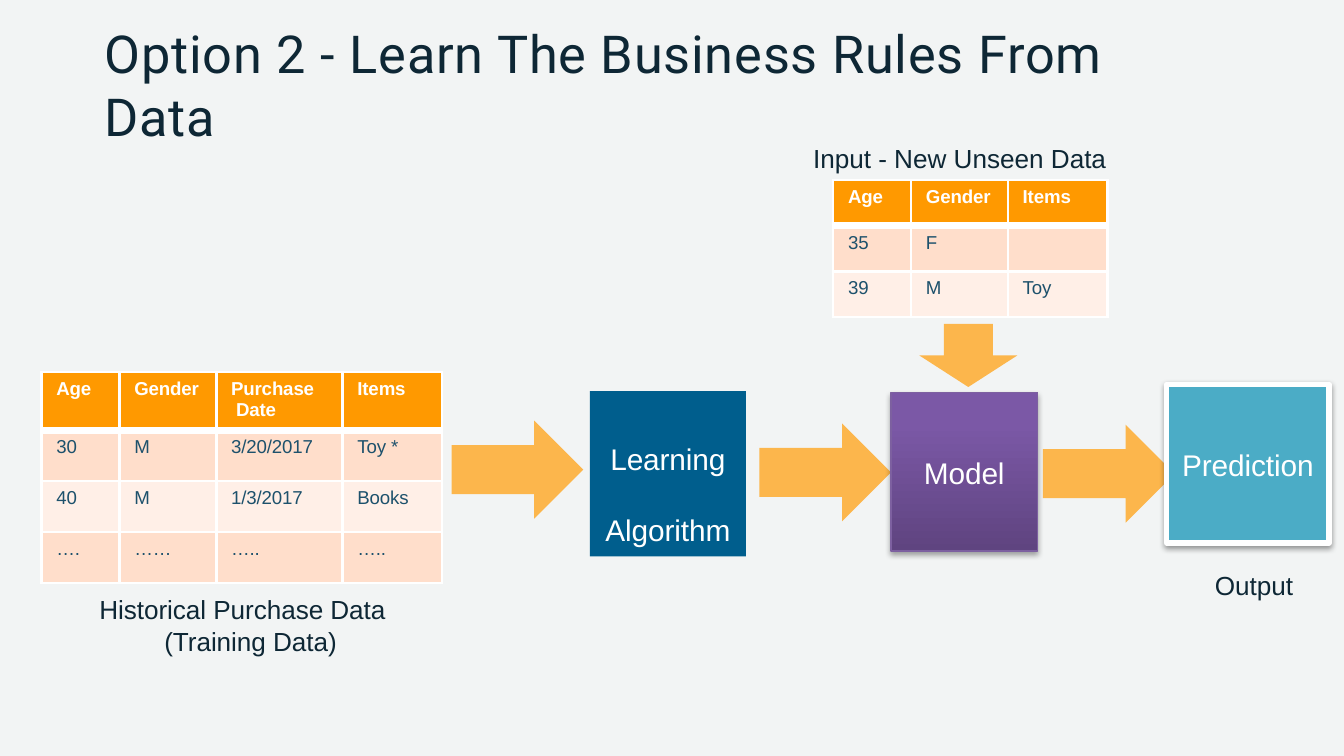
from lxml.etree import SubElement
from pptx import Presentation
from pptx.dml.color import RGBColor
from pptx.enum.shapes import MSO_SHAPE as Kind
from pptx.enum.text import MSO_ANCHOR as Anchor, PP_ALIGN as Align
from pptx.oxml import parse_xml
from pptx.oxml.ns import nsdecls, qn
from pptx.util import Inches, Pt

PAPER = RGBColor(0xF2, 0xF4, 0xF4)
INK = RGBColor(0x0E, 0x27, 0x35)
WHITE = RGBColor(0xFF, 0xFF, 0xFF)
SLATE = RGBColor(0x1D, 0x51, 0x6C)
ORANGE = RGBColor(0xFF, 0x99, 0x00)
PEACH = RGBColor(0xFF, 0xDE, 0xCB)
CREAM = RGBColor(0xFF, 0xEF, 0xE7)
AMBER = RGBColor(0xFC, 0xB6, 0x4C)
BLUE = RGBColor(0x00, 0x5E, 0x8D)
PURPLE = RGBColor(0x7B, 0x58, 0xA6)
PLUM = RGBColor(0x5F, 0x44, 0x80)
VIOLET = RGBColor(0x7D, 0x60, 0xA0)
TEAL = RGBColor(0x4B, 0xAC, 0xC6)


def write(frame, text, size, color, space=-5, font="Arial"):
    frame.text = text
    frame.word_wrap = True
    frame.margin_left = frame.margin_right = frame.margin_bottom = 0
    frame.margin_top = Inches(0.01)
    para = frame.paragraphs[0]
    para.font.size = Pt(size)
    para.font.name = font
    para.font.color.rgb = color
    for run in para.runs:
        run._r.get_or_add_rPr().set("spc", str(space))
    return para


def edge(cell, sides):
    props = cell._tc.get_or_add_tcPr()
    for spot, (side, width) in enumerate(sides):
        line = parse_xml(f'<a:{side} {nsdecls("a")} w="{Pt(width)}"/>')
        fill = SubElement(line, qn("a:solidFill"))
        SubElement(fill, qn("a:srgbClr"), val=str(WHITE))
        props.insert(spot, line)


deck = Presentation()
deck.slide_width = Inches(10)
deck.slide_height = Inches(10) * 9 // 16
slide = deck.slides.add_slide(deck.slide_layouts[6])
slide.background.fill.solid()
slide.background.fill.fore_color.rgb = PAPER
shapes = slide.shapes

labels = [
    (0.77, 0.15, 8.2, 0.49, "Option 2 - Learn The Business Rules From Data", 28, "Roboto", 44),
    (6.04, 1.05, 2.21, 0.26, "Input - New Unseen Data", 14, "Arial", -4),
    (9.03, 4.23, 0.61, 0.26, "Output", 14, "Arial", -5),
]
for x, y, w, h, text, size, font, space in labels:
    box = shapes.add_textbox(Inches(x), Inches(y), Inches(w), Inches(h))
    para = write(box.text_frame, text, size, INK, space, font)
    para.space_before = Pt(1)
    box.text_frame.margin_left = Inches(0.01)

box = shapes.add_textbox(Inches(0.73), Inches(4.4), Inches(2.16), Inches(0.49))
para = write(box.text_frame, "Historical Purchase Data\v (Training Data)", 14, INK)
box.text_frame.margin_top = Inches(0.02)
para.line_spacing = Pt(16.7)
para.space_before = Pt(1.6)
props = para._p.get_or_add_pPr()
props.set("marL", str(Inches(0.44)))
props.set("indent", str(Inches(-0.43)))

tables = [
    (0.31, 2.77, [0.58, 0.72, 0.94, 0.74], [0.43, 0.38, 0.38, 0.38], [
        ["Age", "Gender", "Purchase\v Date", "Items"],
        ["30", "M", "3/20/2017", "Toy *"],
        ["40", "M", "1/3/2017", "Books"],
        ["….", "……", "…..", "….."],
    ]),
    (6.2, 1.34, [0.58, 0.72, 0.74], [0.34, 0.34, 0.34], [
        ["Age", "Gender", "Items"],
        ["35", "F", ""],
        ["39", "M", "Toy"],
    ]),
]
for x, y, cols, rows, data in tables:
    grid = shapes.add_table(len(rows), len(cols), Inches(x), Inches(y),
                            Inches(sum(cols)), Inches(sum(rows))).table
    for col, w in zip(grid.columns, cols):
        col.width = Inches(w)
    for i, (row, h) in enumerate(zip(grid.rows, rows)):
        row.height = Inches(h)
        for cell, text in zip(row.cells, data[i]):
            para = write(cell.text_frame, text, 10, SLATE if i else WHITE)
            para.font.bold = i == 0
            para.space_before = Pt(3.2)
            cell.margin_left, cell.margin_top = Inches(0.11), Inches(0.05)
            cell.margin_right = cell.margin_bottom = 0
            cell.fill.solid()
            cell.fill.fore_color.rgb = (PEACH if i % 2 else CREAM) if i else ORANGE
            edge(cell, [("lnL", 1.5), ("lnR", 1.5),
                        ("lnT", 4.25 if i == 1 else 1.5),
                        ("lnB", 4.25 if i == 0 else 1.5)])

arrows = [
    (Kind.RIGHT_ARROW, 3.36, 3.13, 0.98, 0.73),
    (Kind.RIGHT_ARROW, 5.65, 3.15, 0.98, 0.73),
    (Kind.RIGHT_ARROW, 7.76, 3.16, 0.98, 0.73),
    (Kind.DOWN_ARROW, 6.84, 2.41, 0.73, 0.47),
]
for kind, x, y, w, h in arrows:
    arrow = shapes.add_shape(kind, Inches(x), Inches(y), Inches(w), Inches(h))
    arrow.shadow.inherit = False
    arrow.fill.solid()
    arrow.fill.fore_color.rgb = AMBER
    arrow.line.fill.background()

steps = [
    (4.39, 2.91, 1.16, 1.23, "Learning\vAlgorithm", BLUE, None, 0, 0),
    (6.63, 2.92, 1.09, 1.18, "Model", PURPLE, VIOLET, 0.75, 35),
    (8.68, 2.86, 1.21, 1.18, "Prediction", TEAL, WHITE, 3, 38),
]
for x, y, w, h, text, color, rim, width, shade in steps:
    step = shapes.add_shape(Kind.RECTANGLE, Inches(x), Inches(y), Inches(w), Inches(h))
    step.shadow.inherit = False
    if color == PURPLE:
        step.fill.gradient()
        step.fill.gradient_angle = 90
        for stop, tone, place in zip(step.fill.gradient_stops, [PLUM, PURPLE], [0, 0.8]):
            stop.color.rgb = tone
            stop.position = place
    else:
        step.fill.solid()
        step.fill.fore_color.rgb = color
    if rim:
        step.line.color.rgb = rim
        step.line.width = Pt(width)
        glow = SubElement(step._element.spPr.find(qn("a:effectLst")), qn("a:outerShdw"),
                          blurRad=str(Pt(3.1)), dist=str(Pt(1.7)), dir="5400000", rotWithShape="0")
        tint = SubElement(glow, qn("a:srgbClr"), val="000000")
        SubElement(tint, qn("a:alpha"), val=str(shade * 1000))
    else:
        step.line.fill.background()
    para = write(step.text_frame, text, 16, WHITE)
    para.alignment = Align.CENTER
    step.text_frame.vertical_anchor = Anchor.MIDDLE
    if "\v" in text:
        step.text_frame.vertical_anchor = Anchor.TOP
        step.text_frame.margin_top = Inches(0.11)
        para.line_spacing = Pt(38)

deck.save("out.pptx")
